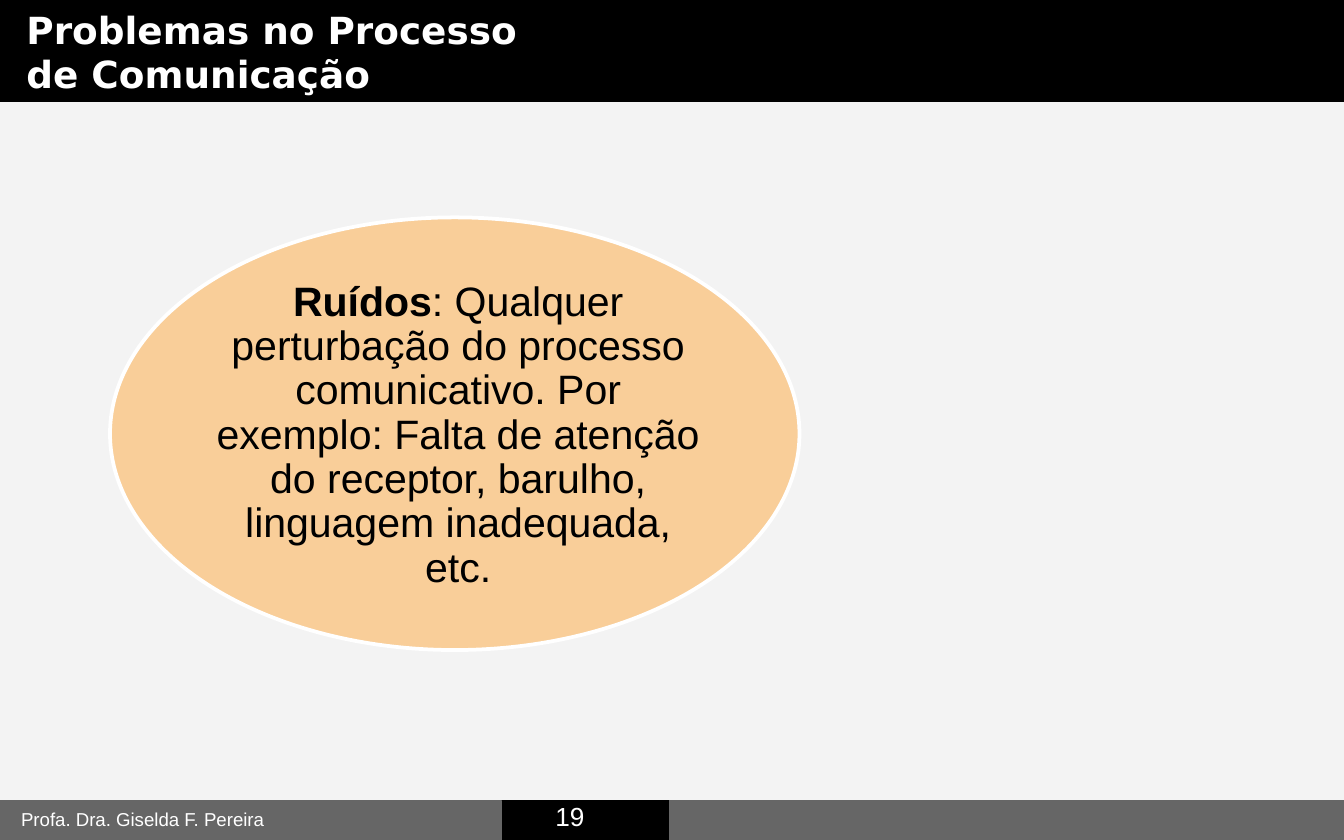
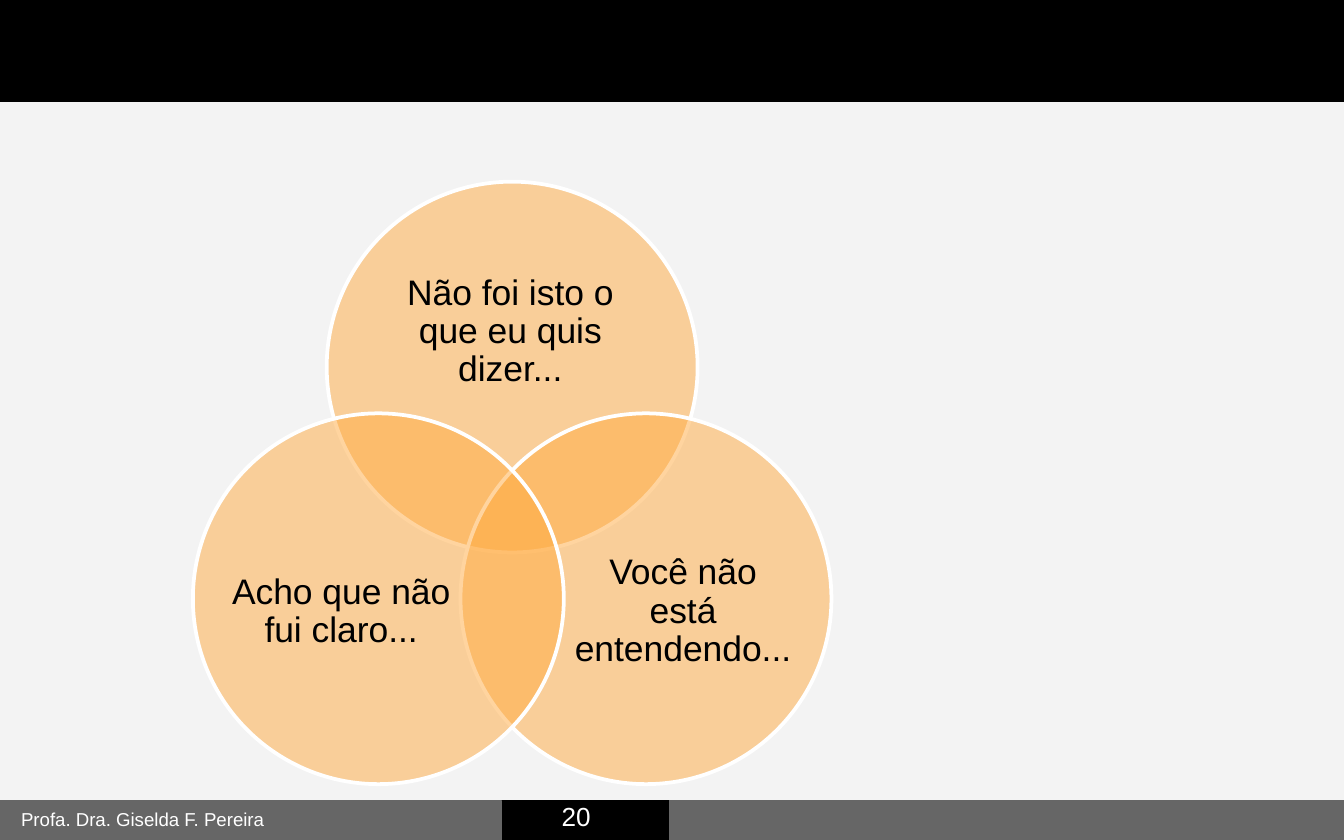
import math
from pptx import Presentation
from pptx import util as u
from pptx.dml.color import RGBColor
from pptx.enum import shapes, text
from pptx.oxml.ns import qn
from lxml import etree

BLACK = RGBColor(0x00, 0x00, 0x00)
GRAY = RGBColor(0x66, 0x66, 0x66)
WHITE = RGBColor(0xFF, 0xFF, 0xFF)
PAPER = RGBColor(0xF3, 0xF3, 0xF3)
ORANGE = RGBColor(0xFF, 0xAB, 0x40)
BODY_FONT, TITLE_FONT = "Arial", "DejaVu Sans"
CENTER = text.PP_ALIGN.CENTER

WIDTH, HEIGHT = 25.4, 15.88
HEADER_H, FOOTER_Y, FOOTER_H = 1.93, 15.14, 0.74
BANDS = [
    (0, 0, WIDTH, HEADER_H, BLACK, False),
    (0, FOOTER_Y, WIDTH, FOOTER_H, BLACK, True),
    (0, FOOTER_Y, 9.47, FOOTER_H, GRAY, True),
    (12.65, FOOTER_Y, 12.75, FOOTER_H, GRAY, True),
]
AUTHOR = "Profa. Dra. Giselda F. Pereira"
TITLE = "Problemas no Processo\nde Comunicação"

NOISE_TERM = "Ruídos"
NOISE_TEXT = (": Qualquer perturbação do processo comunicativo. Por exemplo: "
              "Falta de atenção do receptor, barulho, linguagem inadequada, etc.")
NOISE_BOX = (2.08, 4.11, 13.03, 8.18)
NOISE_INNER = (0.15, 0.15, 0.71, 0.71)

VENN_X, VENN_Y, VENN_R, CIRCLE_D = 9.68, 9.86, 2.92, 7.01
VENN = [
    (-90, "Não foi isto o que eu quis dizer...", (0.13, 0.18, 0.73, 0.45)),
    (30, "Você não está entendendo...", (0.3, 0.26, 0.6, 0.55)),
    (150, "Acho que não fui claro...", (0.1, 0.26, 0.6, 0.55)),
]


def add_shape(s, kind, box, fill, line=None, width=0.75):
    sp = s.shapes.add_shape(kind, *map(u.Cm, box))
    sp.shadow.inherit = False
    sp.fill.solid()
    sp.fill.fore_color.rgb = fill
    if line is None:
        sp.line.fill.background()
    else:
        sp.line.color.rgb = line
        sp.line.width = u.Pt(width)
    return sp


def add_text(s, box, content, size, color=WHITE, font=BODY_FONT, bold=False,
             align=None, middle=False, inset=(0.25, 0.25), spacing=None):
    tf = s.shapes.add_textbox(*map(u.Cm, box)).text_frame
    tf.word_wrap = True
    tf.margin_left = tf.margin_right = u.Cm(inset[0])
    tf.margin_top = tf.margin_bottom = u.Cm(inset[1])
    if middle:
        tf.vertical_anchor = text.MSO_ANCHOR.MIDDLE
    tf.text = content
    for p in tf.paragraphs:
        p.alignment = align
        p.line_spacing = spacing
        for r in p.runs:
            style(r, size, color, font, bold)
    return tf


def style(r, size, color, font=BODY_FONT, bold=False):
    r.font.size = u.Pt(size)
    r.font.name = font
    r.font.bold = bold
    r.font.color.rgb = color


def add_bubble(s, box, inner, content, size, bold=False):
    sp = add_shape(s, shapes.MSO_SHAPE.OVAL, box, ORANGE, WHITE, 2)
    color = sp.fill._xPr.find(qn("a:solidFill"))[0]
    etree.SubElement(color, qn("a:alpha")).set("val", "50000")
    x, y, w, h = box
    fx, fy, fw, fh = inner
    return add_text(s, (x + fx * w, y + fy * h, fw * w, fh * h), content, size,
                    BLACK, bold=bold, align=CENTER, middle=True, inset=(0, 0),
                    spacing=0.9)


def add_slide(prs, number, number_x):
    s = prs.slides.add_slide(prs.slide_layouts[6])
    s.background.fill.solid()
    s.background.fill.fore_color.rgb = PAPER
    for *box, color, outlined in BANDS:
        add_shape(s, shapes.MSO_SHAPE.RECTANGLE, box, color,
                  color if outlined else None)
    add_text(s, (0.15, 15.06, 7.72, 0.89), AUTHOR, 10)
    add_text(s, (number_x, 14.99, 1.52, 0.89), number, 14,
             align=CENTER, middle=True)
    return s


def build_noise(prs):
    s = add_slide(prs, "19", 10.01)
    tf = add_bubble(s, NOISE_BOX, NOISE_INNER, NOISE_TERM, 22, bold=True)
    r = tf.paragraphs[0].add_run()
    r.text = NOISE_TEXT
    style(r, 22, BLACK)
    add_text(s, (0.25, 0, 11.84, 1.96), TITLE, 20, font=TITLE_FONT, bold=True,
             inset=(0.25, 0.13))


def build_venn(prs):
    s = add_slide(prs, "20", 10.13)
    for angle, content, inner in VENN:
        a = math.radians(angle)
        x = VENN_X + VENN_R * math.cos(a) - CIRCLE_D / 2
        y = VENN_Y + VENN_R * math.sin(a) - CIRCLE_D / 2
        add_bubble(s, (x, y, CIRCLE_D, CIRCLE_D), inner, content, 19)


def main():
    prs = Presentation()
    prs.slide_width, prs.slide_height = u.Cm(WIDTH), u.Cm(HEIGHT)
    build_noise(prs)
    build_venn(prs)
    prs.save("out.pptx")


if __name__ == "__main__":
    main()
